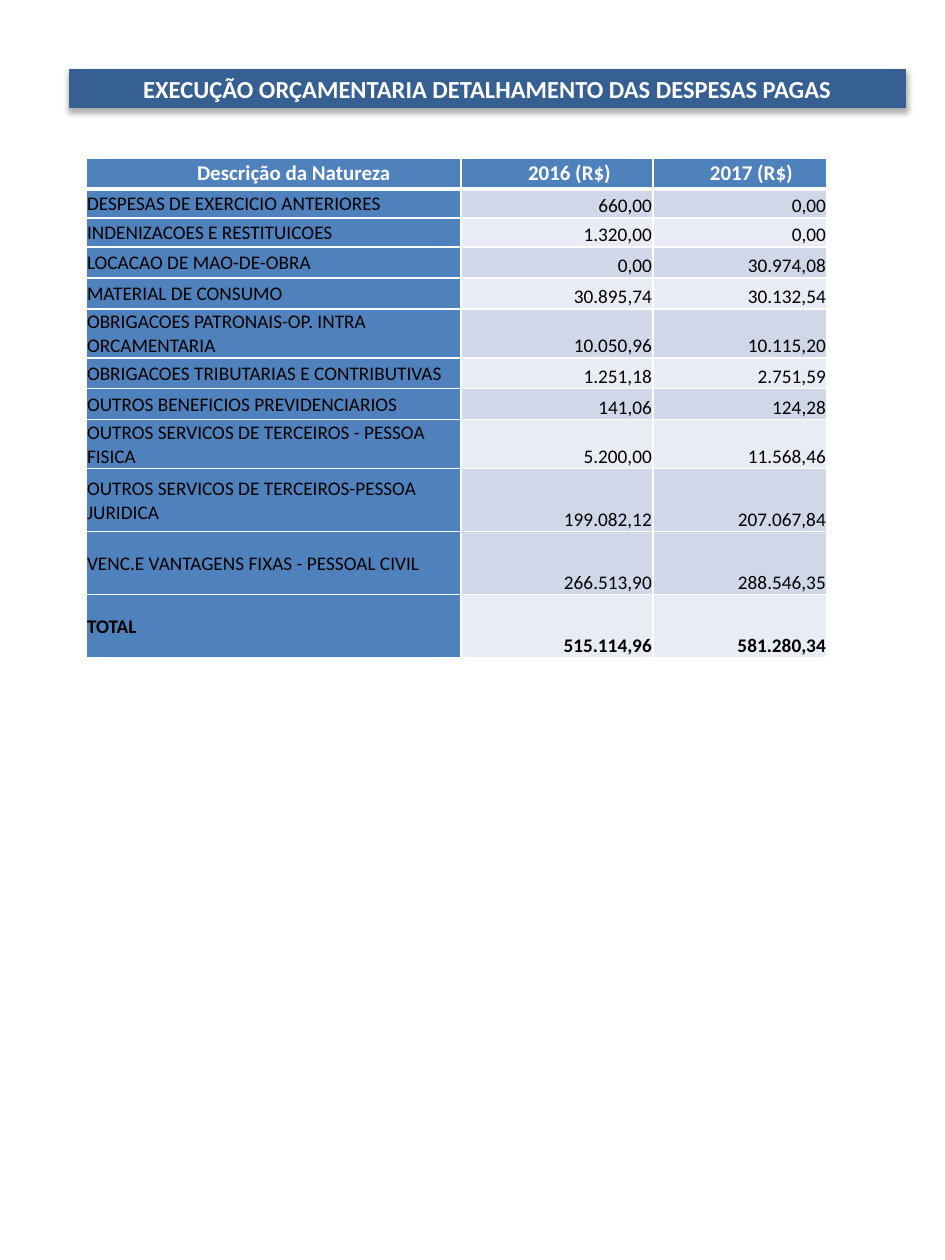
from dataclasses import dataclass
from typing import Any

from lxml.etree import SubElement
from pptx import Presentation
from pptx.dml.color import RGBColor as RGB
from pptx.enum.text import MSO_ANCHOR as ANCHOR, MSO_AUTO_SIZE as AUTO, PP_ALIGN as ALIGN
from pptx.oxml.ns import qn
from pptx.util import Emu, Pt

EMU_PER_PX = 914400 / 126


@dataclass(frozen=True)
class Theme:
    font: str = "Calibri"
    bar: str = "376092"
    header: str = "4F81BC"
    bands: tuple[str, str] = ("D0D7E8", "E9ECF4")
    white: str = "FFFFFF"
    black: str = "000000"
    title_size: int = 14
    header_size: int = 12
    body_size: int = 11


@dataclass(frozen=True)
class Expense:
    name: str
    y2016: str
    y2017: str
    height: int
    band: int
    bold: bool = False


@dataclass(frozen=True)
class Column:
    title: str
    width: int
    indent: int


THEME = Theme()
HEADER_HEIGHT = 31
COLUMNS = [
    Column("Descrição da Natureza", 375, 111),
    Column("2016 (R$)", 192, 67),
    Column("2017 (R$)", 174, 57),
]
EXPENSES = [
    Expense("DESPESAS DE EXERCICIO ANTERIORES", "660,00", "0,00", 29, 0),
    Expense("INDENIZACOES E RESTITUICOES", "1.320,00", "0,00", 29, 1),
    Expense("LOCACAO DE MAO-DE-OBRA", "0,00", "30.974,08", 31, 0),
    Expense("MATERIAL DE CONSUMO", "30.895,74", "30.132,54", 31, 1),
    Expense("OBRIGACOES PATRONAIS-OP. INTRA ORCAMENTARIA", "10.050,96", "10.115,20", 49, 0),
    Expense("OBRIGACOES TRIBUTARIAS E CONTRIBUTIVAS", "1.251,18", "2.751,59", 31, 1),
    Expense("OUTROS BENEFICIOS PREVIDENCIARIOS", "141,06", "124,28", 31, 0),
    Expense("OUTROS SERVICOS DE TERCEIROS - PESSOA FISICA", "5.200,00", "11.568,46", 49, 1),
    Expense("OUTROS SERVICOS DE TERCEIROS-PESSOA JURIDICA", "199.082,12", "207.067,84", 63, 0),
    Expense("VENC.E VANTAGENS FIXAS - PESSOAL CIVIL", "266.513,90", "288.546,35", 63, 0),
    Expense("TOTAL", "515.114,96", "581.280,34", 63, 1, True),
]


def px(n: int) -> Emu:
    return Emu(round(n * EMU_PER_PX))


def apply(target: Any, formats: dict[str, Any]) -> None:
    for name, value in formats.items():
        setattr(target, name, value)


def paint(fill: Any, color: str) -> None:
    fill.solid()
    fill.fore_color.rgb = RGB.from_string(color)


def write(p: Any, text: str, size: int, color: str, bold: bool) -> None:
    r = p.add_run()
    r.text = text
    apply(r.font, {"name": THEME.font, "size": Pt(size), "bold": bold})
    r.font.color.rgb = RGB.from_string(color)


def add_shadow(sp: Any) -> None:
    effects = SubElement(sp._element.spPr, qn("a:effectLst"))
    shadow = SubElement(effects, qn("a:outerShdw"), blurRad=str(Pt(3.5)),
                        dist=str(Pt(2.2)), dir="5400000", rotWithShape="0")
    color = SubElement(shadow, qn("a:srgbClr"), val=THEME.black)
    SubElement(color, qn("a:alpha"), val="32000")


def add_title(slide: Any, text: str) -> None:
    sp = slide.shapes.title
    apply(sp, {"left": px(69), "top": px(69), "width": px(837), "height": px(39)})
    paint(sp.fill, THEME.bar)
    add_shadow(sp)
    tf = sp.text_frame
    apply(tf, {"auto_size": AUTO.NONE, "word_wrap": True, "vertical_anchor": ANCHOR.MIDDLE})
    p = tf.paragraphs[0]
    p.alignment = ALIGN.CENTER
    write(p, text, THEME.title_size, THEME.white, True)


def set_borders(cell: Any, top: int, bottom: int) -> None:
    tc_pr = cell._tc.get_or_add_tcPr()
    for side, width in {"L": 1, "R": 1, "T": top, "B": bottom}.items():
        ln = SubElement(tc_pr, qn(f"a:ln{side}"), w=str(Pt(width)))
        SubElement(SubElement(ln, qn("a:solidFill")), qn("a:srgbClr"), val=THEME.white)


def format_cell(cell: Any, fill: str, anchor: Any, margin: int, top: int, bottom: int) -> None:
    set_borders(cell, top, bottom)
    paint(cell.fill, fill)
    apply(cell, {"vertical_anchor": anchor, "margin_left": px(margin), "margin_top": px(margin),
                 "margin_right": px(margin), "margin_bottom": 0})


def fill_header(cell: Any, column: Column) -> None:
    format_cell(cell, THEME.header, ANCHOR.MIDDLE, 0, 1, 3)
    p = cell.text_frame.paragraphs[0]
    apply(p, {"alignment": ALIGN.LEFT, "space_before": Pt(0.5)})
    p._p.get_or_add_pPr().set("marL", str(px(column.indent)))
    write(p, column.title, THEME.header_size, THEME.white, True)


def fill_expense(cells: list[Any], expense: Expense, top: int) -> None:
    for i, text in enumerate((expense.name, expense.y2016, expense.y2017)):
        fill = THEME.bands[expense.band] if i else THEME.header
        anchor = ANCHOR.BOTTOM if i else ANCHOR.MIDDLE
        format_cell(cells[i], fill, anchor, 1, top, 1)
        p = cells[i].text_frame.paragraphs[0]
        p.alignment = ALIGN.RIGHT if i else ALIGN.LEFT
        write(p, text, THEME.body_size, THEME.black, expense.bold)


def add_expense_table(slide: Any) -> None:
    heights = [HEADER_HEIGHT] + [e.height for e in EXPENSES]
    width = sum(c.width for c in COLUMNS)
    table = slide.shapes.add_table(len(heights), len(COLUMNS), px(86), px(158),
                                   px(width), px(sum(heights))).table
    for row, height in zip(table.rows, heights):
        row.height = px(height)
    for i, column in enumerate(COLUMNS):
        table.columns[i].width = px(column.width)
        fill_header(table.cell(0, i), column)
    for n, expense in enumerate(EXPENSES, 1):
        fill_expense(list(table.rows[n].cells), expense, 3 if n == 1 else 1)


def main() -> None:
    prs = Presentation()
    apply(prs, {"slide_width": px(945), "slide_height": px(1260)})
    slide = prs.slides.add_slide(prs.slide_layouts[5])
    add_expense_table(slide)
    add_title(slide, "EXECUÇÃO ORÇAMENTARIA DETALHAMENTO DAS DESPESAS PAGAS")
    prs.save("out.pptx")


if __name__ == "__main__":
    main()
